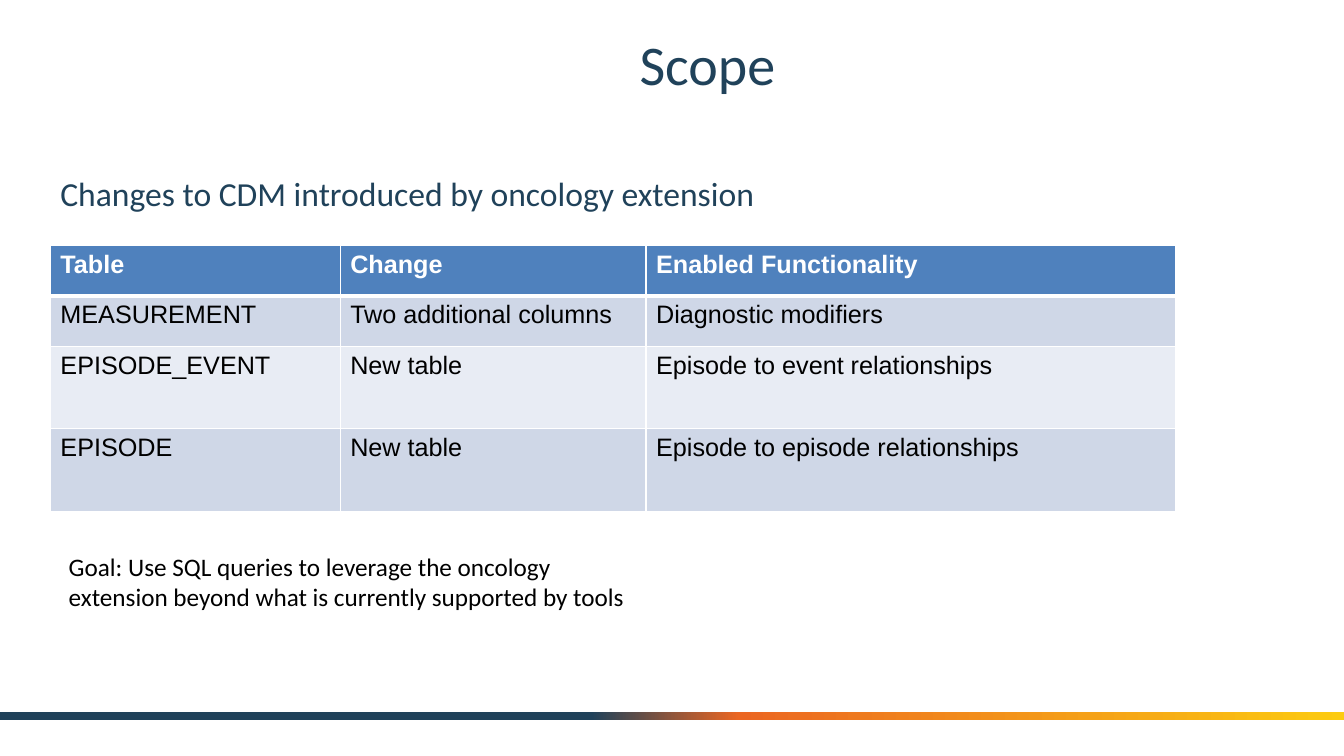
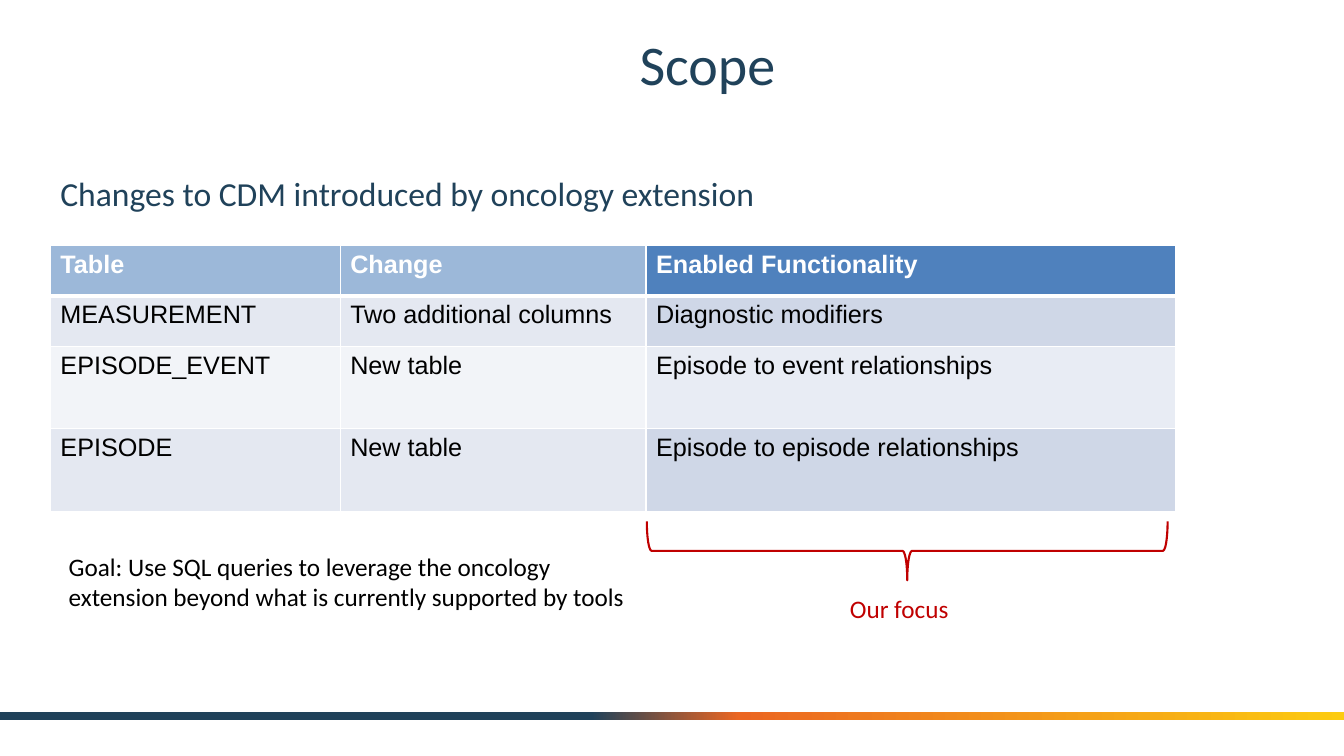
from dataclasses import dataclass

from lxml.etree import SubElement
from pptx import Presentation
from pptx.dml.color import RGBColor
from pptx.enum.shapes import MSO_SHAPE
from pptx.enum.text import MSO_ANCHOR, PP_ALIGN
from pptx.oxml.ns import qn
from pptx.shapes.autoshape import Shape
from pptx.slide import Slide
from pptx.table import _Cell as Cell
from pptx.text.text import TextFrame
from pptx.util import Pt

NAVY, ORANGE, YELLOW = "20425A", "EB6622", "FCCB10"
WHITE, BLACK, RED = "FFFFFF", "000000", "C00000"
HEADER_FILL, BAND_FILLS = "4F81BD", ("CFD7E7", "E8ECF4")
FADED_OPACITY = 56
SLIDE_WIDTH, SLIDE_HEIGHT = 960, 540
BAND_STOPS = ((0, NAVY), (44, NAVY), (55, ORANGE), (100, YELLOW))

COLUMN_WIDTHS = (207, 218.5, 378)
ROW_HEIGHTS = (36, 36, 59, 59)
TABLE_ROWS = (
    ("Table", "Change", "Enabled Functionality"),
    ("MEASUREMENT", "Two additional columns", "Diagnostic modifiers"),
    ("EPISODE_EVENT", "New table", "Episode to event relationships"),
    ("EPISODE", "New table", "Episode to episode relationships"),
)


@dataclass(frozen=True)
class Box:
    left: float
    top: float
    width: float
    height: float

    def lengths(self) -> tuple[Pt, Pt, Pt, Pt]:
        return Pt(self.left), Pt(self.top), Pt(self.width), Pt(self.height)


@dataclass(frozen=True)
class TextStyle:
    size: float
    color: str
    font: str = "Calibri"
    bold: bool = False


@dataclass(frozen=True)
class Label:
    text: str
    box: Box
    style: TextStyle
    wrap: bool = True


TITLE_BOX = Box(98.5, 12.25, 813.5, 66.25)
TABLE_BOX = Box(36, 175.25, sum(COLUMN_WIDTHS), sum(ROW_HEIGHTS))
BAND_BOX = Box(0, 508.5, SLIDE_WIDTH, 5.75)
BRACE_BOX = Box(627, 207.5, 42, 372)

TITLE_STYLE = TextStyle(40, NAVY)
HEADER_STYLE = TextStyle(18, WHITE, "Arial", bold=True)
BODY_STYLE = TextStyle(18, BLACK, "Arial")

SHARED_LABELS = (
    Label("Changes to CDM introduced by oncology extension",
          Box(36, 120.25, 576, 48), TextStyle(24, NAVY)),
    Label("Goal: Use SQL queries to leverage the oncology extension "
          "beyond what is currently supported by tools",
          Box(42, 390.25, 426, 51), TextStyle(18, BLACK)),
)
FOCUS_LABEL = Label("Our focus", Box(600, 420.5, 86, 29), TextStyle(18, RED), wrap=False)


def rgb(color: str) -> RGBColor:
    return RGBColor.from_string(color)


def write_text(text_frame: TextFrame, text: str, style: TextStyle) -> None:
    text_frame.text = text
    font = text_frame.paragraphs[0].runs[0].font
    font.name, font.size, font.bold = style.font, Pt(style.size), style.bold
    font.color.rgb = rgb(style.color)


def add_label(slide: Slide, label: Label) -> None:
    text_frame = slide.shapes.add_textbox(*label.box.lengths()).text_frame
    text_frame.word_wrap = label.wrap
    write_text(text_frame, label.text, label.style)


def add_title(slide: Slide, text: str) -> None:
    title = slide.shapes.title
    title.left, title.top, title.width, title.height = TITLE_BOX.lengths()
    write_text(title.text_frame, text, TITLE_STYLE)
    title.text_frame.vertical_anchor = MSO_ANCHOR.MIDDLE
    title.text_frame.paragraphs[0].alignment = PP_ALIGN.CENTER


def add_plain_shape(slide: Slide, kind: MSO_SHAPE, box: Box) -> Shape:
    shape = slide.shapes.add_shape(kind, *box.lengths())
    shape.shadow.inherit = False
    return shape


def add_band_to_layout(slide: Slide) -> None:
    """Draw the gradient band, then move it to the layout all slides share."""
    band = add_plain_shape(slide, MSO_SHAPE.RECTANGLE, BAND_BOX)
    band.line.fill.background()
    band.fill.gradient()
    band.fill.gradient_angle = 0
    stops = band.element.spPr.find(qn("a:gradFill")).find(qn("a:gsLst"))
    stops.clear()
    for position, color in BAND_STOPS:
        stop = SubElement(stops, qn("a:gs"), pos=str(position * 1000))
        SubElement(stop, qn("a:srgbClr"), val=color)
    slide.slide_layout.element.cSld.spTree.append(band.element)


def set_borders(cell: Cell, top: float, bottom: float) -> None:
    properties = cell._tc.get_or_add_tcPr()
    for side, width in (("L", 1), ("R", 1), ("T", top), ("B", bottom)):
        line = SubElement(properties, qn(f"a:ln{side}"), w=str(Pt(width)))
        fill = SubElement(line, qn("a:solidFill"))
        SubElement(fill, qn("a:srgbClr"), val=WHITE)


def fill_cell(cell: Cell, color: str, faded: bool) -> None:
    cell.fill.solid()
    cell.fill.fore_color.rgb = rgb(color)
    if faded:
        fill = cell._tc.tcPr.find(qn("a:solidFill"))
        SubElement(fill[0], qn("a:alpha"), val=str(FADED_OPACITY * 1000))


def add_scope_table(slide: Slide, faded_columns: int) -> None:
    """Add the table, with its first faded_columns columns see-through."""
    table = slide.shapes.add_table(
        len(ROW_HEIGHTS), len(COLUMN_WIDTHS), *TABLE_BOX.lengths()).table
    for column, width in zip(table.columns, COLUMN_WIDTHS):
        column.width = Pt(width)
    for row_index, (row, height) in enumerate(zip(table.rows, ROW_HEIGHTS)):
        row.height = Pt(height)
        is_header = row_index == 0
        color = HEADER_FILL if is_header else BAND_FILLS[(row_index - 1) % 2]
        for column_index, cell in enumerate(row.cells):
            set_borders(cell, top=3 if row_index == 1 else 1, bottom=3 if is_header else 1)
            fill_cell(cell, color, faded=column_index < faded_columns)
            write_text(cell.text_frame, TABLE_ROWS[row_index][column_index],
                       HEADER_STYLE if is_header else BODY_STYLE)


def add_focus_brace(slide: Slide) -> None:
    brace = add_plain_shape(slide, MSO_SHAPE.RIGHT_BRACE, BRACE_BOX)
    brace.rotation = 90
    brace.adjustments[0] = 0.08
    brace.fill.background()
    brace.line.color.rgb = rgb(RED)
    brace.line.width = Pt(1.5)
    add_label(slide, FOCUS_LABEL)


def add_scope_slide(presentation: Presentation, faded_columns: int = 0) -> Slide:
    slide = presentation.slides.add_slide(presentation.slide_layouts[5])
    add_title(slide, "Scope")
    add_scope_table(slide, faded_columns)
    for label in SHARED_LABELS:
        add_label(slide, label)
    return slide


def main() -> None:
    presentation = Presentation()
    presentation.slide_width = Pt(SLIDE_WIDTH)
    presentation.slide_height = Pt(SLIDE_HEIGHT)
    add_band_to_layout(add_scope_slide(presentation))
    add_focus_brace(add_scope_slide(presentation, faded_columns=2))
    presentation.save("out.pptx")


if __name__ == "__main__":
    main()
